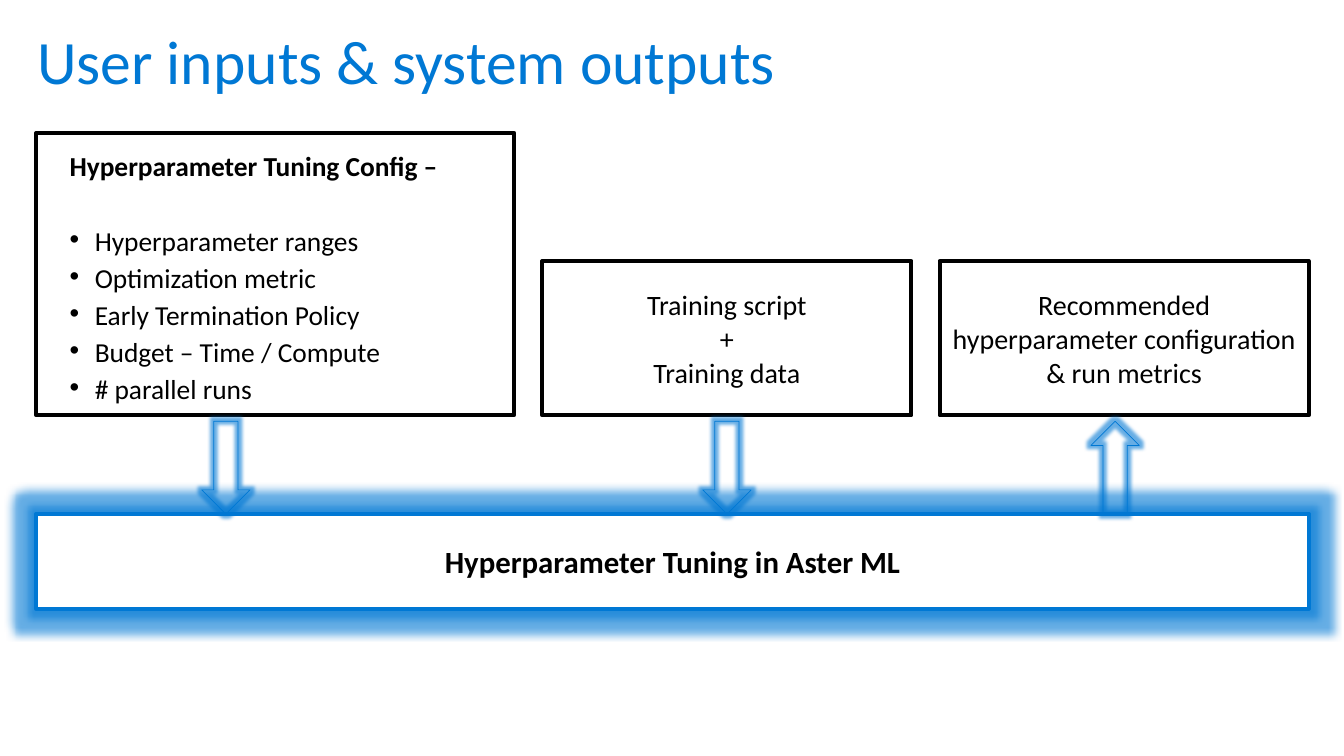
from lxml import etree
from pptx import Presentation, util as u
from pptx.dml.color import RGBColor
from pptx.enum import shapes, text
from pptx.oxml import ns

# Content
TITLE = "User inputs & system outputs"
HEAD = "Hyperparameter Tuning Config –"
ITEMS = ["Hyperparameter ranges", "Optimization metric", "Early Termination Policy",
         "Budget – Time / Compute", "# parallel runs"]
SERVICE = "Hyperparameter Tuning in Aster ML"
SCRIPT = "Training script\n+\nTraining data"
RESULT = "Recommended hyperparameter configuration & run metrics"

COLORS = {"blue": "0078D4", "black": "000000", "white": "FFFFFF"}
FONT = "Calibri"

# Layout in inches: three boxes stand on one base line above a wide bar
WIDE, HIGH = 13.33, 7.5
LEFT, RIGHT = 0.36, 12.98
BASE, BAR_TOP, BAR_H = 4.12, 5.1, 0.94
BOX_W, BOX_H = 3.66, 1.53
GAP = 0.28
OUT_X = RIGHT - BOX_W
IN_X = OUT_X - GAP - BOX_W
CONFIG_W, CONFIG_H = 4.74, 2.8
ARROW_W, ARROW_H = 0.48, 0.92

# (left, top, width, height, text, size, bold, line colour, fill colour)
BOXES = [
    (LEFT, BAR_TOP, RIGHT - LEFT, BAR_H, SERVICE, 22, True, "blue", "white"),
    (LEFT, BASE - CONFIG_H, CONFIG_W, CONFIG_H, "", 20, False, "black", None),
    (IN_X, BASE - BOX_H, BOX_W, BOX_H, SCRIPT, 20, False, "black", None),
    (OUT_X, BASE - BOX_H, BOX_W, BOX_H, RESULT, 20, False, "black", None),
]
DOWN, UP = shapes.MSO_SHAPE.DOWN_ARROW, shapes.MSO_SHAPE.UP_ARROW
ARROWS = [(DOWN, 2.24), (DOWN, 7.21), (UP, 11.06)]  # kind, centre


def tint(name):
    return RGBColor.from_string(COLORS[name])


def style(para, size, color="black", bold=False):
    for run in para.runs:
        font = run.font
        font.name, font.size, font.bold = FONT, u.Pt(size), bold
        font.color.rgb = tint(color)


def place(shape, *box):
    shape.left, shape.top, shape.width, shape.height = map(u.Inches, box)


def draw(kind, box, line, weight, fill=None):
    shape = slide.shapes.add_shape(kind, *map(u.Inches, box))
    shape.shadow.inherit = False
    if fill:
        shape.fill.solid()
        shape.fill.fore_color.rgb = tint(fill)
    else:
        shape.fill.background()
    shape.line.color.rgb = tint(line)
    shape.line.width = u.Pt(weight)
    return shape


def glow(shape, size):
    effects = shape.element.spPr.find(ns.qn("a:effectLst"))
    halo = etree.SubElement(effects, ns.qn("a:glow"), rad=str(u.Pt(size)))
    color = etree.SubElement(halo, ns.qn("a:srgbClr"), val=COLORS["blue"])
    etree.SubElement(color, ns.qn("a:alpha"), val="60000")


def bullet(para, mark):
    props = para._p.get_or_add_pPr()
    indent = u.Inches(0.25) if mark else 0
    props.set("marL", str(indent))
    props.set("indent", str(-indent))
    if mark:
        etree.SubElement(props, ns.qn("a:buFont"), typeface="Arial")
        etree.SubElement(props, ns.qn("a:buChar"), char=mark)
    else:
        etree.SubElement(props, ns.qn("a:buNone"))


prs = Presentation()
prs.slide_width, prs.slide_height = u.Inches(WIDE), u.Inches(HIGH)
slide = prs.slides.add_slide(prs.slide_layouts[1])

# Title
title = slide.shapes.title
place(title, 0.27, 0.01, 10.05, 1.27)
frame = title.text_frame
frame.text = TITLE
frame.vertical_anchor = text.MSO_ANCHOR.MIDDLE
frame.paragraphs[0].alignment = text.PP_ALIGN.LEFT
frame.paragraphs[0].line_spacing = 0.9
style(frame.paragraphs[0], 44, "blue")

# Config list
body = slide.placeholders[1]
place(body, 0.59, 1.52, 4.09, 2.62)
frame = body.text_frame
frame.text = "\n".join([HEAD] + ITEMS)
frame.auto_size = text.MSO_AUTO_SIZE.NONE
for row, para in enumerate(frame.paragraphs):
    bullet(para, "•" if row else None)
    para.line_spacing = 0.7
    para.space_before = u.Pt({0: 0, 1: 36.75}.get(row, 10))
    style(para, 19.6, bold=row == 0)

# Boxes
for *box, words, size, bold, line, fill in BOXES:
    shape = draw(shapes.MSO_SHAPE.RECTANGLE, box, line, 3, fill)
    if line == "blue":
        glow(shape, 11)
    if words:
        frame = shape.text_frame
        frame.word_wrap = True
        frame.vertical_anchor = text.MSO_ANCHOR.MIDDLE
        frame.text = words
        for para in frame.paragraphs:
            para.alignment = text.PP_ALIGN.CENTER
            style(para, size, bold=bold)

# Arrows between boxes and bar
for kind, mid in ARROWS:
    box = (mid - ARROW_W / 2, BAR_TOP - ARROW_H, ARROW_W, ARROW_H)
    glow(draw(kind, box, "blue", 0.5), 5)

prs.save("out.pptx")
